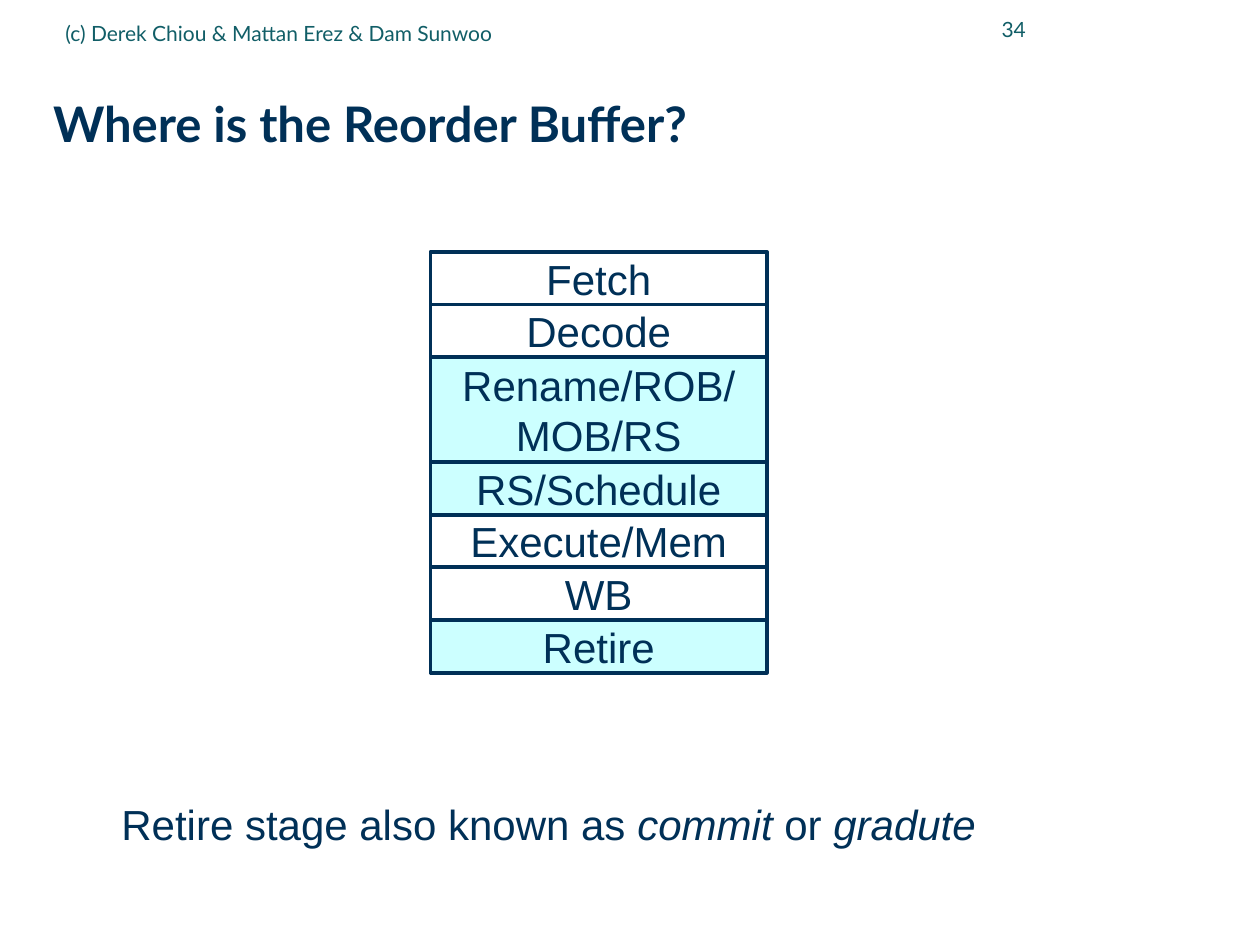
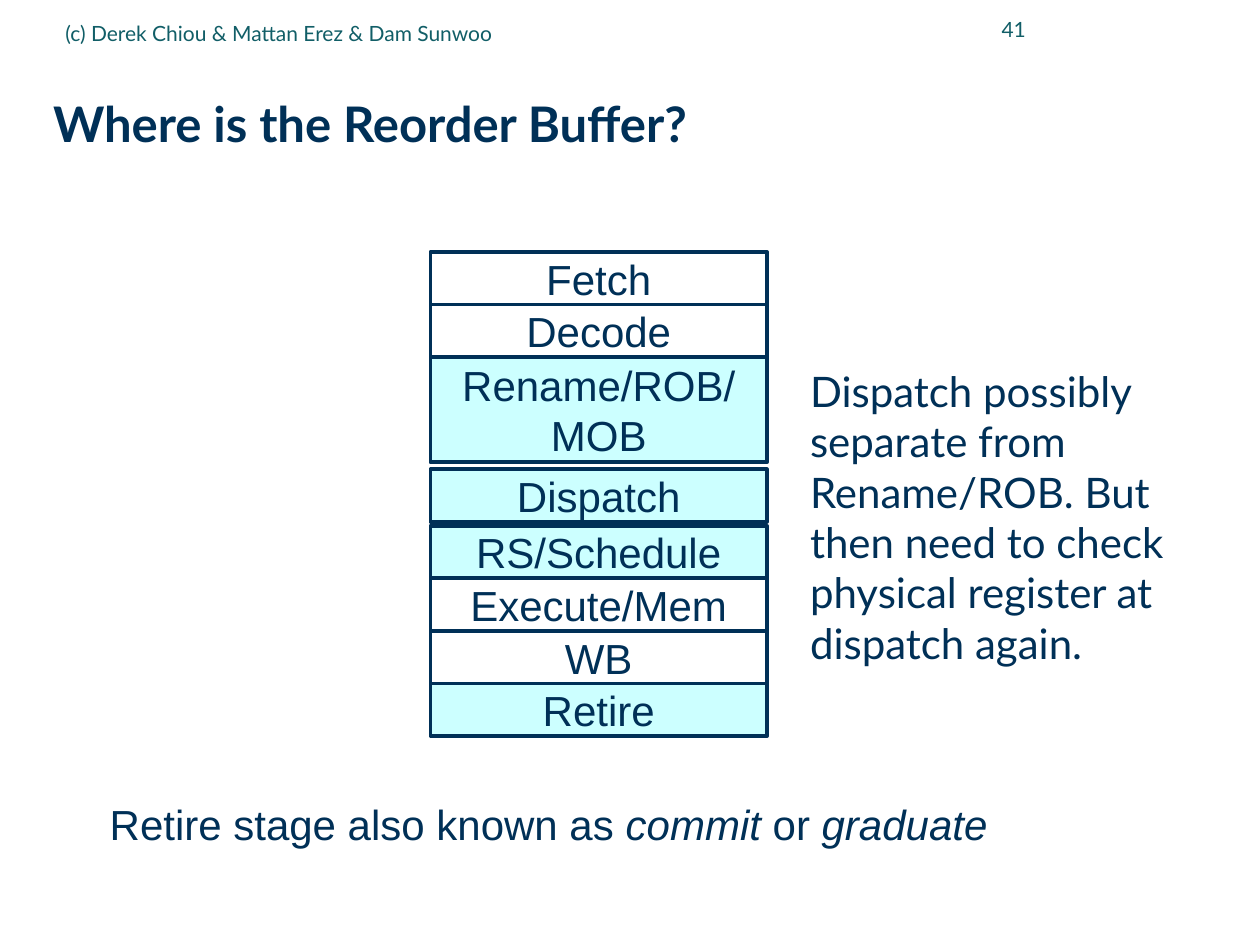
import pptx
import pptx.util
import pptx.dml.color
import pptx.enum.shapes
import pptx.enum.text

Cm, Pt = pptx.util.Cm, pptx.util.Pt
ALIGN = pptx.enum.text.PP_ALIGN
ANCHOR = pptx.enum.text.MSO_ANCHOR

# Content: a stage is (label, filled, gap above in cm)
TITLE = "Where is the Reorder Buffer?"
OWNER = "(c) Derek Chiou & Mattan Erez & Dam Sunwoo"
FRONT = [("Fetch", False, 0), ("Decode", False, 0)]
BACK = [("Execute/Mem", False, 0), ("WB", False, 0), ("Retire", True, 0)]
SLIDES = [
    {
        "page": "34",
        "stages": FRONT
        + [("Rename/ROB/\nMOB/RS", True, 0), ("RS/Schedule", True, 0)]
        + BACK,
        "alias": "gradute",
    },
    {
        "page": "41",
        "stages": FRONT
        + [
            ("Rename/ROB/\nMOB", True, 0),
            ("Dispatch", True, 0.14),
            ("RS/Schedule", True, 0.08),
        ]
        + BACK,
        "alias": "graduate",
        "note": "Dispatch possibly separate from Rename/ROB. But then need "
        "to check physical register at dispatch again.",
    },
]

# Shared look
COLORS = {"navy": "003057", "teal": "115E67", "aqua": "CCFFFF"}
HEAD, BODY = "Lato", "Arial"
LEFT, TOP, WIDTH, ROW = 8.68, 5.08, 6.78, 1.06


def color(name):
    return pptx.dml.color.RGBColor.from_string(COLORS[name])


def style(para, face, size, tone="navy", align=ALIGN.LEFT):
    para.alignment = align
    para.font.name = face
    para.font.size = Pt(size)
    para.font.color.rgb = color(tone)


def add_text(slide, box, text, face, size, tone="navy", align=ALIGN.LEFT,
             anchor=ANCHOR.MIDDLE, wrap=True):
    frame = slide.shapes.add_textbox(*map(Cm, box)).text_frame
    frame.word_wrap = wrap
    frame.vertical_anchor = anchor
    para = frame.paragraphs[0]
    para.text = text
    style(para, face, size, tone, align)
    return frame


def add_frame(slide, page):
    """Title, page number and copyright line."""
    frame = add_text(slide, (1.07, 1.27, 23.9, 2.49), TITLE, HEAD, 28)
    frame.margin_left = frame.margin_right = 0
    frame.margin_top = frame.margin_bottom = 0
    frame.paragraphs[0].font.bold = True
    frame.paragraphs[0].line_spacing = 0.99
    add_text(slide, (18.62, -0.05, 2.31, 1.27), page, HEAD, 12, "teal",
             ALIGN.RIGHT)
    add_text(slide, (1.07, 0.08, 14.4, 1.17), OWNER, HEAD, 12, "teal")


def add_stages(slide, stages):
    """Stack the stages; each text line takes one row."""
    top = TOP
    for label, filled, gap in stages:
        top += gap
        high = ROW * len(label.split("\n"))
        box = slide.shapes.add_shape(
            pptx.enum.shapes.MSO_SHAPE.RECTANGLE,
            Cm(LEFT), Cm(top), Cm(WIDTH), Cm(high))
        box.shadow.inherit = False
        if filled:
            box.fill.solid()
            box.fill.fore_color.rgb = color("aqua")
        else:
            box.fill.background()
        box.line.color.rgb = color("navy")
        box.line.width = Pt(2.25)
        frame = box.text_frame
        frame.word_wrap = False
        frame.vertical_anchor = ANCHOR.MIDDLE
        para = frame.paragraphs[0]
        para.text = label
        style(para, BODY, 24, align=ALIGN.CENTER)
        top += high


def add_alias(slide, alias):
    """Closing line with the other names in italics."""
    frame = add_text(slide, (1.86, 15.98, 18.4, 1.27),
                     "Retire stage also known as ", BODY, 24,
                     align=ALIGN.CENTER, anchor=ANCHOR.TOP, wrap=False)
    for text, slant in [("commit", True), (" or ", False), (alias, True)]:
        run = frame.paragraphs[0].add_run()
        run.text = text
        run.font.italic = slant


def main():
    deck = pptx.Presentation()
    deck.slide_width, deck.slide_height = Cm(25.4), Cm(19.05)
    for item in SLIDES:
        slide = deck.slides.add_slide(deck.slide_layouts[6])
        add_frame(slide, item["page"])
        add_stages(slide, item["stages"])
        add_alias(slide, item["alias"])
        if "note" in item:
            add_text(slide, (16.08, 7.24, 8.89, 6.4), item["note"], HEAD, 24,
                     anchor=ANCHOR.TOP)
    deck.save("out.pptx")


if __name__ == "__main__":
    main()
